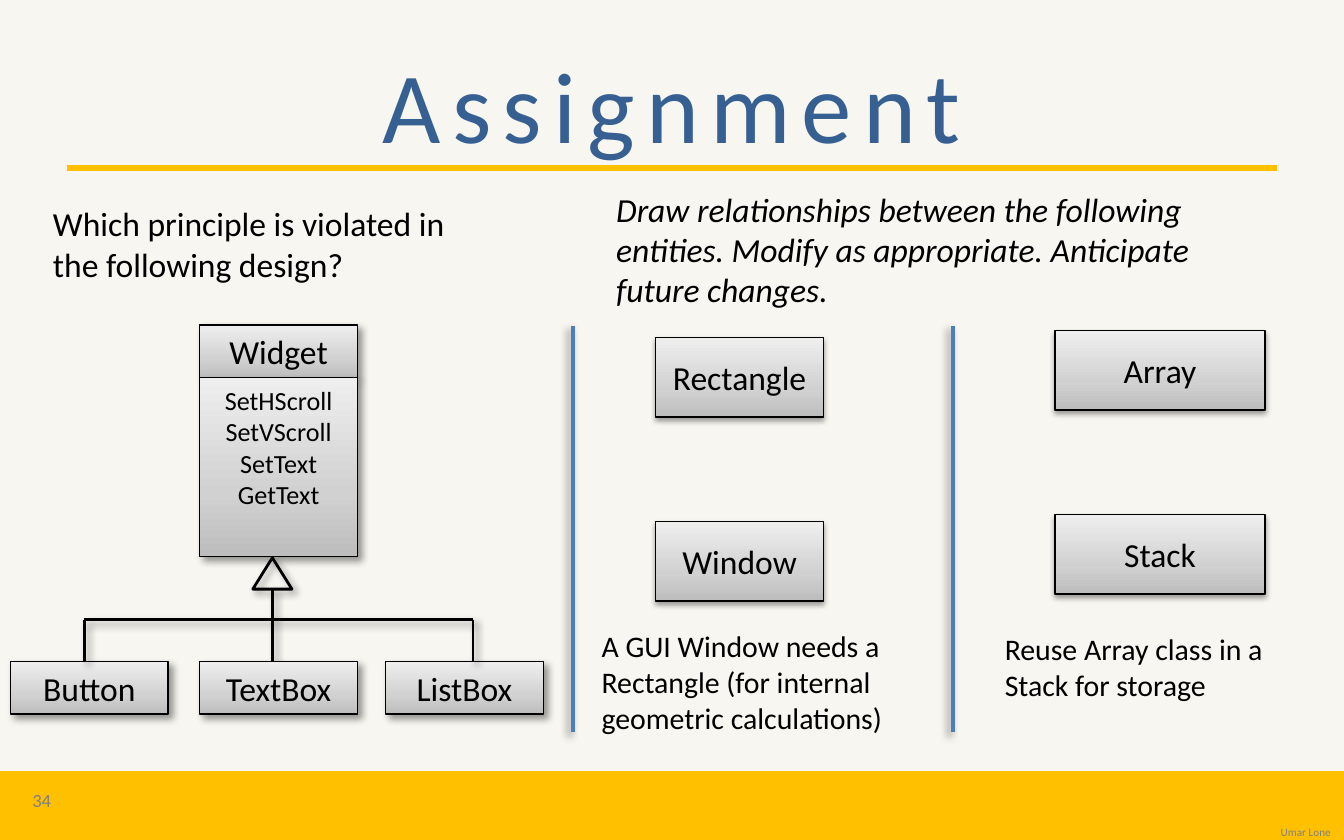
from lxml import etree
from pptx import Presentation
from pptx.dml.color import RGBColor
from pptx.enum import shapes, text
from pptx.util import Pt

NS = "http://schemas.openxmlformats.org/drawingml/2006/main"
BLACK = RGBColor(0, 0, 0)
GRAY = RGBColor(0x80, 0x80, 0x80)
GOLD = RGBColor(0xFF, 0xC0, 0x00)
NAVY = RGBColor(0x37, 0x60, 0x92)
BLUE = RGBColor(0x4B, 0x7E, 0xBC)
CREAM = RGBColor(0xF7, 0xF6, 0xF0)
STEEL = ((0, RGBColor(0xBD, 0xBD, 0xBD)),
         (35, RGBColor(0xD1, 0xD1, 0xD1)),
         (100, RGBColor(0xEE, 0xEE, 0xEE)))
SIDE = (40, 4, 3, 45)
LEFT = (40, 4, 3, 135)
DOWN = (38, 3.1, 1.6, 90)
MID = text.MSO_ANCHOR.MIDDLE
TOP = text.MSO_ANCHOR.TOP
BASE = text.MSO_ANCHOR.BOTTOM
CENTER = text.PP_ALIGN.CENTER
RIGHT = text.PP_ALIGN.RIGHT
KIND = shapes.MSO_SHAPE


def node(up, tag, **attrs):
    kid = etree.SubElement(up, f"{{{NS}}}{tag}")
    for key, val in attrs.items():
        kid.set(key, str(val))
    return kid


def shade(shape, look):
    list_ = node(shape._element.spPr, "effectLst")
    if look:
        alpha, blur, dist, turn = look
        cast = node(list_, "outerShdw", blurRad=Pt(blur), dist=Pt(dist),
                    dir=turn * 60000, rotWithShape=0)
        node(node(cast, "srgbClr", val=BLACK), "alpha", val=alpha * 1000)


def blend(shape, stops):
    grad = etree.Element(f"{{{NS}}}gradFill", rotWithShape="1")
    list_ = node(grad, "gsLst")
    for pos, color in stops:
        node(node(list_, "gs", pos=pos * 1000), "srgbClr", val=color)
    node(grad, "lin", ang=270 * 60000, scaled=0)
    shape._element.spPr.insert(2, grad)


def write(shape, words, size, color=BLACK, align=None, anchor=TOP, italic=None):
    frame = shape.text_frame
    frame.word_wrap = True
    frame.auto_size = text.MSO_AUTO_SIZE.NONE
    frame.vertical_anchor = anchor
    frame.text = words
    for para in frame.paragraphs:
        para.alignment = align
        font = para.font
        font.name, font.size, font.italic = "Calibri", Pt(size), italic
        font.color.rgb = color


def label(slide, at, words, size, **look):
    area = slide.shapes.add_textbox(*map(Pt, at))
    write(area, words, size, **look)


def shape(slide, kind, at, line, width, fill=None):
    item = slide.shapes.add_shape(kind, *map(Pt, at))
    item.line.color.rgb = line
    item.line.width = Pt(width)
    if fill == STEEL:
        blend(item, fill)
    elif fill is None:
        item.fill.background()
    else:
        item.fill.solid()
        item.fill.fore_color.rgb = fill
    return item


def box(slide, at, words, cast, size=18, anchor=MID):
    item = shape(slide, KIND.RECTANGLE, at, BLACK, 0.75, STEEL)
    shade(item, cast)
    write(item, words, size, align=CENTER, anchor=anchor)


def line(slide, ends, color=BLACK, width=1.5, cast=SIDE):
    item = slide.shapes.add_connector(shapes.MSO_CONNECTOR.STRAIGHT, *map(Pt, ends))
    item.line.color.rgb = color
    item.line.width = Pt(width)
    shade(item, cast)


def frame(slide):
    back = slide.background.fill
    back.solid()
    back.fore_color.rgb = CREAM
    band = shape(slide, KIND.RECTANGLE, (0, 414, 720, 36), GOLD, 2, GOLD)
    band.shadow.inherit = False
    line(slide, (36, 90, 684, 90), GOLD, 3, None)
    label(slide, (624.2, 440.6, 95.8, 12.2), "Umar Lone", 6,
          color=GRAY, align=RIGHT, anchor=BASE)
    label(slide, (2.2, 416.9, 40.3, 23.8), "34", 10,
          color=GRAY, align=CENTER, anchor=MID)


def head(slide):
    title = slide.shapes.title
    title.left, title.top, title.width, title.height = map(Pt, (36, 18, 648, 75))
    write(title, "Assignment", 54, color=NAVY, align=CENTER, anchor=MID)
    title.text_frame.paragraphs[0].runs[0].font._element.set("spc", "600")


def tree(slide):
    wide, high, rail, foot = 84.5, 28.2, 332, 354.4
    tip = shape(slide, KIND.ISOSCELES_TRIANGLE, (135.4, 298.8, 21, 16.8), BLACK, 1.5)
    shade(tip, SIDE)
    line(slide, (146.2, 315.4, 146.2, foot))
    box(slide, (107, 174.2, wide, high), "Widget", SIDE)
    box(slide, (107, 202.4, wide, 95.6),
        "SetHScroll\nSetVScroll\nSetText\nGetText", SIDE, 14, TOP)
    for left, words in ((5.6, "Button"), (107, "TextBox"), (206.6, "ListBox")):
        box(slide, (left, foot, wide, high), words, SIDE)
    line(slide, (45.2, rail, 253.4, rail))
    for x in (45.2, 253.4):
        line(slide, (x, rail, x, foot))


def pair(slide, left, top, wide, names):
    for i, words in enumerate(names):
        box(slide, (left, top + i * 98.5, wide, 42.5), words, DOWN)


def main():
    deck = Presentation()
    deck.slide_width, deck.slide_height = Pt(720), Pt(450)
    slide = deck.slides.add_slide(deck.slide_layouts[5])
    frame(slide)
    head(slide)
    pair(slide, 565.2, 177.2, 112.5, ("Array", "Stack"))
    pair(slide, 351.2, 180.9, 90, ("Rectangle", "Window"))
    label(slide, (531.2, 334.2, 168.5, 46), "Reuse Array class in a Stack for storage", 16)
    label(slide, (315.2, 332.8, 195, 65.4),
          "A GUI Window needs a Rectangle (for internal geometric calculations)", 16)
    tree(slide)
    for x in (306.9, 510.6):
        line(slide, (x, 174.4, x, 392.2), BLUE, 2.25, LEFT)
    label(slide, (21.3, 105.3, 231.8, 51), "Which principle is violated in the following design?", 18)
    label(slide, (323, 97.4, 335.5, 94.2),
          "Draw relationships between the following entities. "
          "Modify as appropriate. Anticipate future changes.", 18, italic=True)
    deck.save("out.pptx")


if __name__ == "__main__":
    main()
